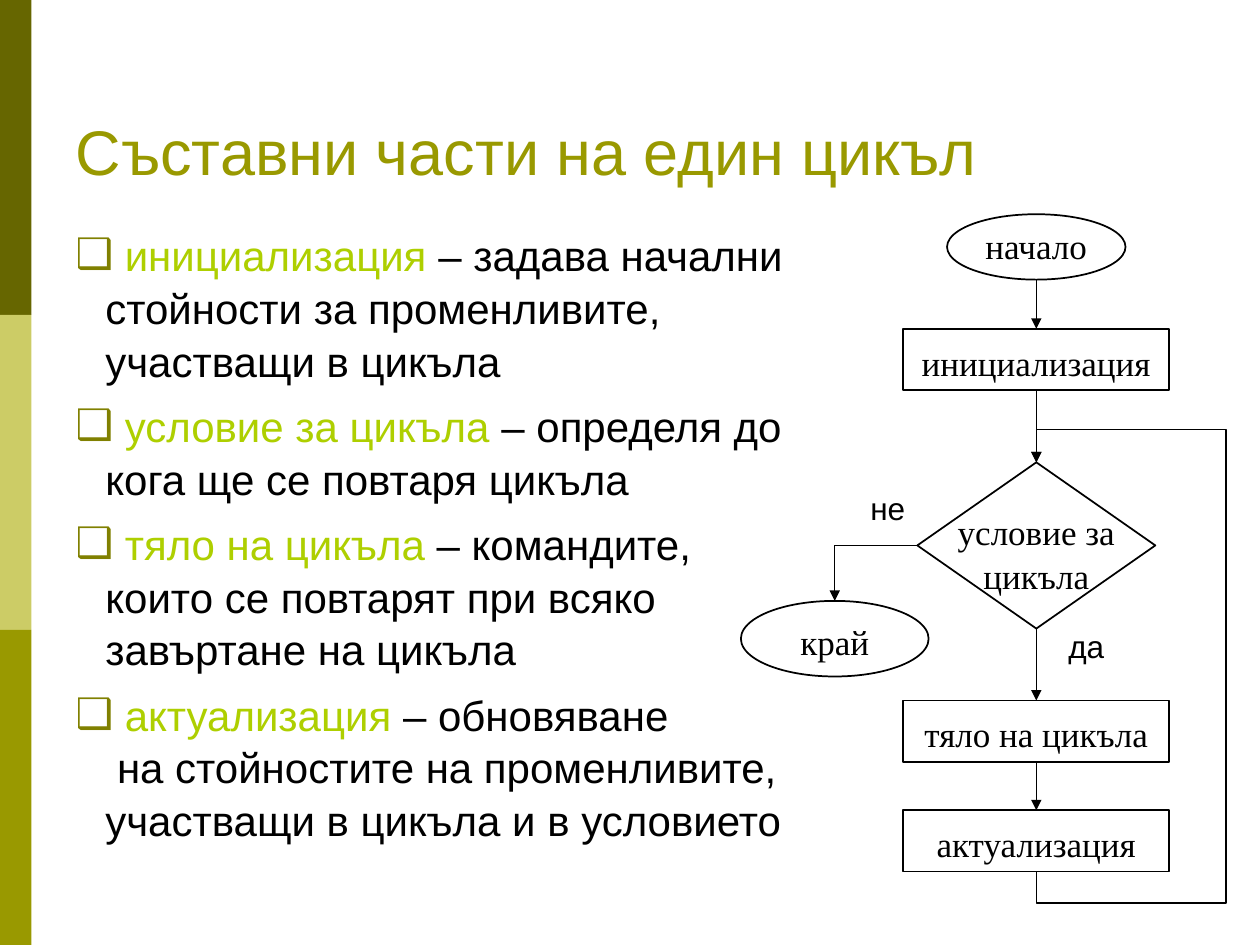
from lxml.etree import SubElement
from pptx import Presentation
from pptx.dml.color import RGBColor
from pptx.enum.shapes import MSO_CONNECTOR, MSO_SHAPE
from pptx.enum.text import MSO_ANCHOR, MSO_AUTO_SIZE, PP_ALIGN
from pptx.oxml.ns import qn
from pptx.util import Pt

BLACK = "000000"
OLIVE = "999900"
LIME = "AECF00"
BULLET_COLOR = "808000"
SANS, SERIF = "Arial", "Times New Roman"

BARS = ["666600", "CCCC66", OLIVE]
PARTS = [
    ("инициализация", " – задава начални стойности за променливите, участващи в цикъла"),
    ("условие за цикъла", " – определя до кога ще се повтаря цикъла"),
    ("тяло на цикъла", " – командите, които се повтарят при всяко завъртане на цикъла"),
    ("актуализация", " – обновяване\n на стойностите на променливите, участващи в цикъла и в условието"),
]

AXIS = 592.2  # centre line of the flowchart
STEP_WIDTH, STEP_HEIGHT = 152, 35
LOOP_RIGHT, LOOP_TOP, LOOP_BOTTOM = 700.5, 245.5, 516


def rgb(color):
    return RGBColor.from_string(color)


def set_font(font, name, size, color):
    font.name = name
    font.size = Pt(size)
    font.color.rgb = rgb(color)


def place(shape, left, top, width, height):
    shape.left, shape.top = Pt(left), Pt(top)
    shape.width, shape.height = Pt(width), Pt(height)


def add_bars(slide):
    height = 540 / len(BARS)
    for index, color in enumerate(BARS):
        bar = slide.shapes.add_shape(
            MSO_SHAPE.RECTANGLE, 0, Pt(index * height), Pt(18), Pt(height))
        bar.shadow.inherit = False
        bar.fill.solid()
        bar.fill.fore_color.rgb = rgb(color)
        bar.line.fill.background()


def fill_title(title):
    place(title, 36, 0, 647, 111)
    title.text_frame.text = "Съставни части на един цикъл"
    title.text_frame.vertical_anchor = MSO_ANCHOR.BOTTOM
    title.text_frame.auto_size = MSO_AUTO_SIZE.NONE
    paragraph = title.text_frame.paragraphs[0]
    paragraph.alignment = PP_ALIGN.LEFT
    set_font(paragraph.runs[0].font, SANS, 36, OLIVE)


def add_bullet(paragraph):
    properties = paragraph._p.get_or_add_pPr()
    properties.set("marL", str(Pt(17)))
    properties.set("indent", str(-Pt(17)))
    color = SubElement(properties, qn("a:buClr"))
    SubElement(color, qn("a:srgbClr"), val=BULLET_COLOR)
    SubElement(properties, qn("a:buFont"), typeface=SANS)
    SubElement(properties, qn("a:buChar"), char="❑")


def add_body_run(paragraph, text, color):
    run = paragraph.add_run()
    run.text = text
    set_font(run.font, SANS, 24, color)


def fill_body(body):
    place(body, 36, 126, 428.5, 388)
    frame = body.text_frame
    frame.auto_size = MSO_AUTO_SIZE.NONE
    for index, (term, meaning) in enumerate(PARTS):
        paragraph = frame.add_paragraph() if index else frame.paragraphs[0]
        add_bullet(paragraph)
        paragraph.space_before = Pt(7 if index else 0)
        paragraph.line_spacing = 1.05
        add_body_run(paragraph, " " + term, LIME)
        for number, line in enumerate(meaning.split("\n")):
            if number:
                paragraph.add_line_break()
            add_body_run(paragraph, line, BLACK)


def add_node(slide, kind, center, top, width, height, text, text_shift=0):
    """Outlined flowchart node; text_shift lowers its text by that many points."""
    node = slide.shapes.add_shape(
        kind, Pt(center - width / 2), Pt(top), Pt(width), Pt(height))
    node.shadow.inherit = False
    node.fill.background()
    node.line.color.rgb = rgb(BLACK)
    node.line.width = Pt(1)
    frame = node.text_frame
    frame.word_wrap = False
    frame.vertical_anchor = MSO_ANCHOR.MIDDLE
    frame.margin_top = Pt(4 + text_shift)
    frame.margin_bottom = Pt(4 - text_shift)
    frame.text = text
    for paragraph in frame.paragraphs:
        paragraph.alignment = PP_ALIGN.CENTER
        paragraph.line_spacing = 1.05
        for run in paragraph.runs:
            set_font(run.font, SERIF, 20, BLACK)


def add_label(slide, left, top, text):
    label = slide.shapes.add_textbox(Pt(left), Pt(top), Pt(42), Pt(29))
    label.text_frame.word_wrap = True
    label.text_frame.text = text
    set_font(label.text_frame.paragraphs[0].runs[0].font, SANS, 18, BLACK)


def style_arrow(arrow):
    arrow.line.color.rgb = rgb(BLACK)
    arrow.line.width = Pt(0.75)
    line = arrow._element.spPr.find(qn("a:ln"))
    SubElement(line, qn("a:tailEnd"), type="triangle")


def add_connector_arrow(slide, kind, start, end):
    arrow = slide.shapes.add_connector(kind, *map(Pt, start + end))
    style_arrow(arrow)
    SubElement(arrow._element.spPr, qn("a:effectLst"))
    return arrow


def add_exit_arrow(slide, start, end):
    arrow = add_connector_arrow(slide, MSO_CONNECTOR.ELBOW, start, end)
    geometry = arrow._element.spPr.find(qn("a:prstGeom"))
    geometry.set("prst", "bentConnector2")  # a single corner


def add_loop_arrow(slide, points):
    first, *rest = [(Pt(x), Pt(y)) for x, y in points]
    builder = slide.shapes.build_freeform(*first)
    builder.add_line_segments(rest, close=False)
    arrow = builder.convert_to_shape()
    arrow.shadow.inherit = False
    arrow.fill.background()
    style_arrow(arrow)


def add_flowchart(slide):
    add_node(slide, MSO_SHAPE.OVAL, AXIS, 122.4, 102, 37.4, "начало", -1.5)
    add_node(slide, MSO_SHAPE.DIAMOND, AXIS, 264.2, 136, 95, "условие за\vцикъла", 4)
    add_node(slide, MSO_SHAPE.OVAL, 477, 343.4, 107.3, 43.2, "край", 1)
    for top, text in [(187.9, "инициализация"), (400.3, "тяло на цикъла"),
                      (463, "актуализация")]:
        add_node(slide, MSO_SHAPE.RECTANGLE, AXIS, top, STEP_WIDTH, STEP_HEIGHT, text, 1)

    add_label(slide, 603.4, 355, "да")
    add_label(slide, 490.3, 275.8, "не")

    for start, end in [(159.8, 187.9), (222.9, 264.2), (359.2, 400.3), (435.3, 463)]:
        add_connector_arrow(slide, MSO_CONNECTOR.STRAIGHT, (AXIS, start), (AXIS, end))
    add_exit_arrow(slide, (524.2, 311.7), (477, 343.4))
    add_loop_arrow(slide, [
        (AXIS, 498), (AXIS, LOOP_BOTTOM), (LOOP_RIGHT, LOOP_BOTTOM),
        (LOOP_RIGHT, LOOP_TOP), (AXIS, LOOP_TOP), (AXIS, 264.2)])


def main():
    presentation = Presentation()
    presentation.slide_width, presentation.slide_height = Pt(720), Pt(540)
    slide = presentation.slides.add_slide(presentation.slide_layouts[1])
    add_bars(slide)
    fill_title(slide.shapes.title)
    fill_body(slide.placeholders[1])
    add_flowchart(slide)
    presentation.save("out.pptx")


if __name__ == "__main__":
    main()
